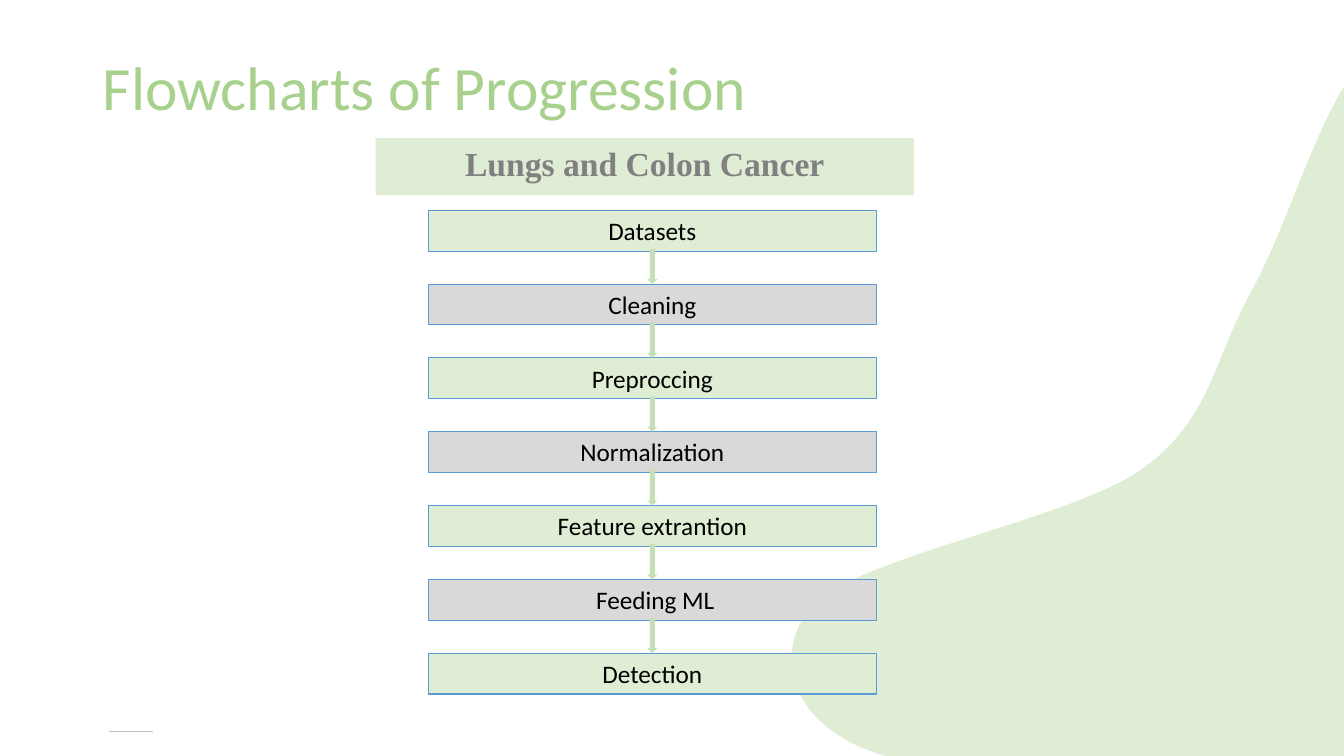
from dataclasses import dataclass

from lxml import etree
from pptx import Presentation
from pptx.dml.color import RGBColor
from pptx.enum.shapes import MSO_CONNECTOR, MSO_SHAPE
from pptx.enum.text import MSO_ANCHOR, MSO_AUTO_SIZE, PP_ALIGN
from pptx.oxml.ns import qn
from pptx.util import Cm, Pt

RECTANGLE = MSO_SHAPE.RECTANGLE
DOWN_ARROW = MSO_SHAPE.DOWN_ARROW
STRAIGHT = MSO_CONNECTOR.STRAIGHT
TOP, MIDDLE = MSO_ANCHOR.TOP, MSO_ANCHOR.MIDDLE
LEFT, CENTER = PP_ALIGN.LEFT, PP_ALIGN.CENTER
GROW = MSO_AUTO_SIZE.SHAPE_TO_FIT_TEXT


@dataclass(frozen=True)
class Theme:
    pale_green: str = "DEEDD4"
    arrow_green: str = "C5E0B4"
    title_green: str = "A9D18E"
    step_gray: str = "D9D9D9"
    banner_gray: str = "808080"
    rule_gray: str = "BFBFBF"
    border_blue: str = "5B9BD5"
    black: str = "000000"
    sans: str = "Calibri"
    serif: str = "Times New Roman"
    title_size: int = 44
    banner_size: int = 24
    step_size: int = 18


THEME = Theme()

STEPS = ["Datasets", "Cleaning", "Preproccing", "Normalization",
         "Feature extrantion", " Feeding ML", "Detection"]
STEP_LEFT, STEP_TOP, STEP_WIDTH, STEP_HEIGHT = 10.8, 5.3, 11.28, 1.03
STEP_PITCH = 1.86
ARROW_WIDTH, ARROW_HEIGHT, ARROW_OFFSET = 0.25, 0.89, 0.97

# Wave outline in cm: a start point, then two control points and an end per curve
WAVE_LEFT, WAVE_TOP, WAVE_WIDTH, WAVE_HEIGHT = 19.94, 0, 18.29, 20.29
WAVE_START = (34.37, 1.5)
WAVE_CURVES = [
    ((33.27, 2.67), (32.49, 5.64), (31.52, 7.37)),
    ((30.56, 9.12), (30.48, 10.72), (28.6, 11.94)),
    ((26.72, 13.13), (21.51, 14.1), (20.47, 15.27)),
    ((19.43, 16.46), (19.89, 18.34), (22.3, 19.05)),
    ((24.69, 19.76), (32.44, 19.48), (34.87, 19.53)),
    ((37.34, 19.58), (36.65, 21.34), (37.06, 19.41)),
    ((37.49, 17.48), (37.52, 12.17), (37.44, 7.92)),
    ((37.39, 3.71), (38.63, 1.52), (38.13, 0.46)),
    ((37.62, -0.61), (35.46, 0.36), WAVE_START),
]


def rgb(color):
    return RGBColor.from_string(color)


def paint(shape, fill, border=None):
    shape.shadow.inherit = False
    shape.fill.solid()
    shape.fill.fore_color.rgb = rgb(fill)
    if border:
        shape.line.color.rgb = rgb(border)
        shape.line.width = Pt(0.75)
    else:
        shape.line.fill.background()


def write(shape, text, font, size, color, bold=False, align=CENTER, anchor=TOP):
    frame = shape.text_frame
    frame.word_wrap = True
    frame.vertical_anchor = anchor
    paragraph = frame.paragraphs[0]
    paragraph.alignment = align
    run = paragraph.add_run()
    run.text = text
    for attribute, value in {"name": font, "size": Pt(size), "bold": bold}.items():
        setattr(run.font, attribute, value)
    run.font.color.rgb = rgb(color)
    return paragraph


def add_block(slide, kind, box, fill, border=None):
    block = slide.shapes.add_shape(kind, *map(Cm, box))
    paint(block, fill, border)
    return block


def add_title(slide, text):
    title = slide.shapes.add_textbox(Cm(2.34), Cm(1.02), Cm(25.86), Cm(2.51))
    paragraph = write(title, text, THEME.sans, THEME.title_size, THEME.title_green,
                      align=LEFT, anchor=MIDDLE)
    paragraph.line_spacing = 0.9


def add_segment(outline, tag, points):
    """Append one drawing command, with its points measured from the wave's corner."""
    segment = etree.SubElement(outline, qn(tag))
    for x, y in points:
        etree.SubElement(segment, qn("a:pt"),
                         x=str(Cm(x - WAVE_LEFT)), y=str(Cm(y - WAVE_TOP)))


def add_wave(slide):
    """Frame a freeform by its bounds, then give it the curved outline."""
    right, bottom = WAVE_LEFT + WAVE_WIDTH, WAVE_TOP + WAVE_HEIGHT
    corners = [(right, WAVE_TOP), (right, bottom), (WAVE_LEFT, bottom)]
    builder = slide.shapes.build_freeform(Cm(WAVE_LEFT), Cm(WAVE_TOP))
    builder.add_line_segments([(Cm(x), Cm(y)) for x, y in corners], close=True)
    wave = builder.convert_to_shape()
    outline = wave.element.find(".//" + qn("a:path"))
    for segment in list(outline):
        outline.remove(segment)
    add_segment(outline, "a:moveTo", [WAVE_START])
    for curve in WAVE_CURVES:
        add_segment(outline, "a:cubicBezTo", curve)
    add_segment(outline, "a:close", [])
    paint(wave, THEME.pale_green)


def add_footer_rule(slide):
    rule = slide.shapes.add_connector(STRAIGHT, Cm(2.74), Cm(18.42), Cm(3.85), Cm(18.42))
    rule.line.color.rgb = rgb(THEME.rule_gray)
    rule.line.width = Pt(0.5)
    etree.SubElement(rule.element.spPr, qn("a:effectLst"))


def add_banner(slide, text):
    banner = add_block(slide, RECTANGLE, (9.47, 3.48, 13.56, 1.44), THEME.pale_green)
    write(banner, text, THEME.serif, THEME.banner_size, THEME.banner_gray, bold=True)


def add_flowchart(slide, steps):
    tops = [STEP_TOP + index * STEP_PITCH for index in range(len(steps))]
    fills = (THEME.pale_green, THEME.step_gray)
    for index, (text, top) in enumerate(zip(steps, tops)):
        step = add_block(slide, RECTANGLE, (STEP_LEFT, top, STEP_WIDTH, STEP_HEIGHT),
                         fills[index % 2], THEME.border_blue)
        write(step, text, THEME.sans, THEME.step_size, THEME.black)
        step.text_frame.auto_size = GROW
    arrow_left = STEP_LEFT + (STEP_WIDTH - ARROW_WIDTH) / 2
    for top in tops[:-1]:
        add_block(slide, DOWN_ARROW,
                  (arrow_left, top + ARROW_OFFSET, ARROW_WIDTH, ARROW_HEIGHT),
                  THEME.arrow_green)


def main():
    presentation = Presentation()
    presentation.slide_width = Cm(33.87)
    presentation.slide_height = Cm(19.05)
    slide = presentation.slides.add_slide(presentation.slide_layouts[6])
    add_wave(slide)
    add_title(slide, "Flowcharts of Progression")
    add_footer_rule(slide)
    add_banner(slide, "Lungs and Colon Cancer")
    add_flowchart(slide, STEPS)
    presentation.save("out.pptx")


if __name__ == "__main__":
    main()
